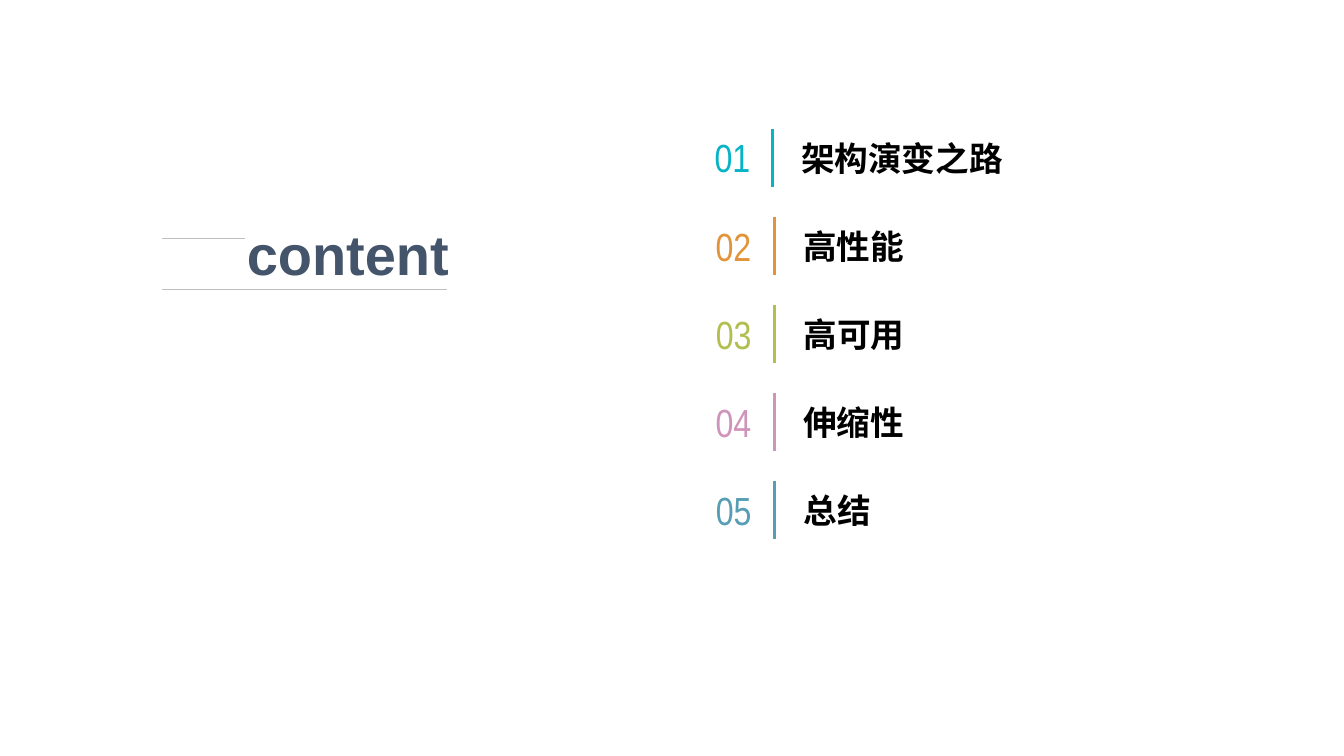
from dataclasses import dataclass

import pptx
import pptx.dml.color
import pptx.enum.shapes
import pptx.enum.text
import pptx.oxml.ns
import pptx.util
from lxml import etree

Cm = pptx.util.Cm
Anchor = pptx.enum.text.MSO_ANCHOR
Align = pptx.enum.text.PP_ALIGN


@dataclass(frozen=True)
class Theme:
    heading: str = "44546A"
    label: str = "000000"
    hairline: str = "BFBFBF"
    accents: tuple = ("07B3C6", "E2943B", "B2BF4E", "CF94BA", "579EB5")
    font: str = "Arial"
    number_font: str = "Arial Narrow"
    heading_size: int = 40
    label_size: int = 24
    number_size: int = 28
    hairline_width: float = 0.5
    divider_width: float = 2.25


class ContentsSlide:
    def __init__(self, slide, theme):
        self.slide = slide
        self.theme = theme

    def line(self, x1, y1, x2, y2, color, width):
        rule = self.slide.shapes.add_connector(
            pptx.enum.shapes.MSO_CONNECTOR.STRAIGHT, Cm(x1), Cm(y1), Cm(x2), Cm(y2))
        rule.line.color.rgb = pptx.dml.color.RGBColor.from_string(color)
        rule.line.width = pptx.util.Pt(width)
        properties = rule.line._get_or_add_ln().getparent()
        etree.SubElement(properties, pptx.oxml.ns.qn("a:effectLst"))

    def text(self, words, left, top, width, height, size, color, font,
             bold=False, anchor=Anchor.MIDDLE, align=Align.LEFT, inset=(0.25, 0.13), spacing=None):
        box = self.slide.shapes.add_textbox(Cm(left), Cm(top), Cm(width), Cm(height))
        frame = box.text_frame
        frame.word_wrap = False
        frame.vertical_anchor = anchor
        frame.margin_left = frame.margin_right = Cm(inset[0])
        frame.margin_top = frame.margin_bottom = Cm(inset[1])
        frame.text = words
        paragraph = frame.paragraphs[0]
        paragraph.alignment = align
        paragraph.line_spacing = spacing
        style = paragraph.runs[0].font
        style.name = font
        style.size = pptx.util.Pt(size)
        style.bold = bold
        style.color.rgb = pptx.dml.color.RGBColor.from_string(color)

    def heading(self, words):
        theme = self.theme
        for y, right in ((6.01, 6.17), (7.29, 11.27)):
            self.line(4.07, y, right, y, theme.hairline, theme.hairline_width)
        self.text(words, 5.97, 5.56, 5.8, 1.83, theme.heading_size, theme.heading,
                  theme.font, bold=True, spacing=0.9)

    def entry(self, number, topic, divider, top, accent):
        theme = self.theme
        number_left = 17.81
        self.text(number, number_left, top + 0.08, divider - number_left - 0.35, 1.27,
                  theme.number_size, accent, theme.number_font,
                  align=Align.CENTER, inset=(0, 0))
        self.line(divider, top, divider, top + 1.45, accent, theme.divider_width)
        self.text(topic, divider + 0.48, top + 0.39, 10.03, 0.97,
                  theme.label_size, theme.label, theme.font, bold=True, anchor=Anchor.BOTTOM)


def main():
    deck = pptx.Presentation()
    deck.slide_width, deck.slide_height = Cm(33.87), Cm(19.05)
    theme = Theme()
    contents = ContentsSlide(deck.slides.add_slide(deck.slide_layouts[6]), theme)

    topics = (("架构演变之路", 19.46), ("高性能", 19.51), ("高可用", 19.52),
              ("伸缩性", 19.51), ("总结", 19.52))
    first_top, pitch = 3.25, 2.22
    for index, ((topic, divider), accent) in enumerate(zip(topics, theme.accents)):
        contents.entry(f"{index + 1:02}", topic, divider, first_top + index * pitch, accent)
    contents.heading("content")

    deck.save("out.pptx")


if __name__ == "__main__":
    main()
